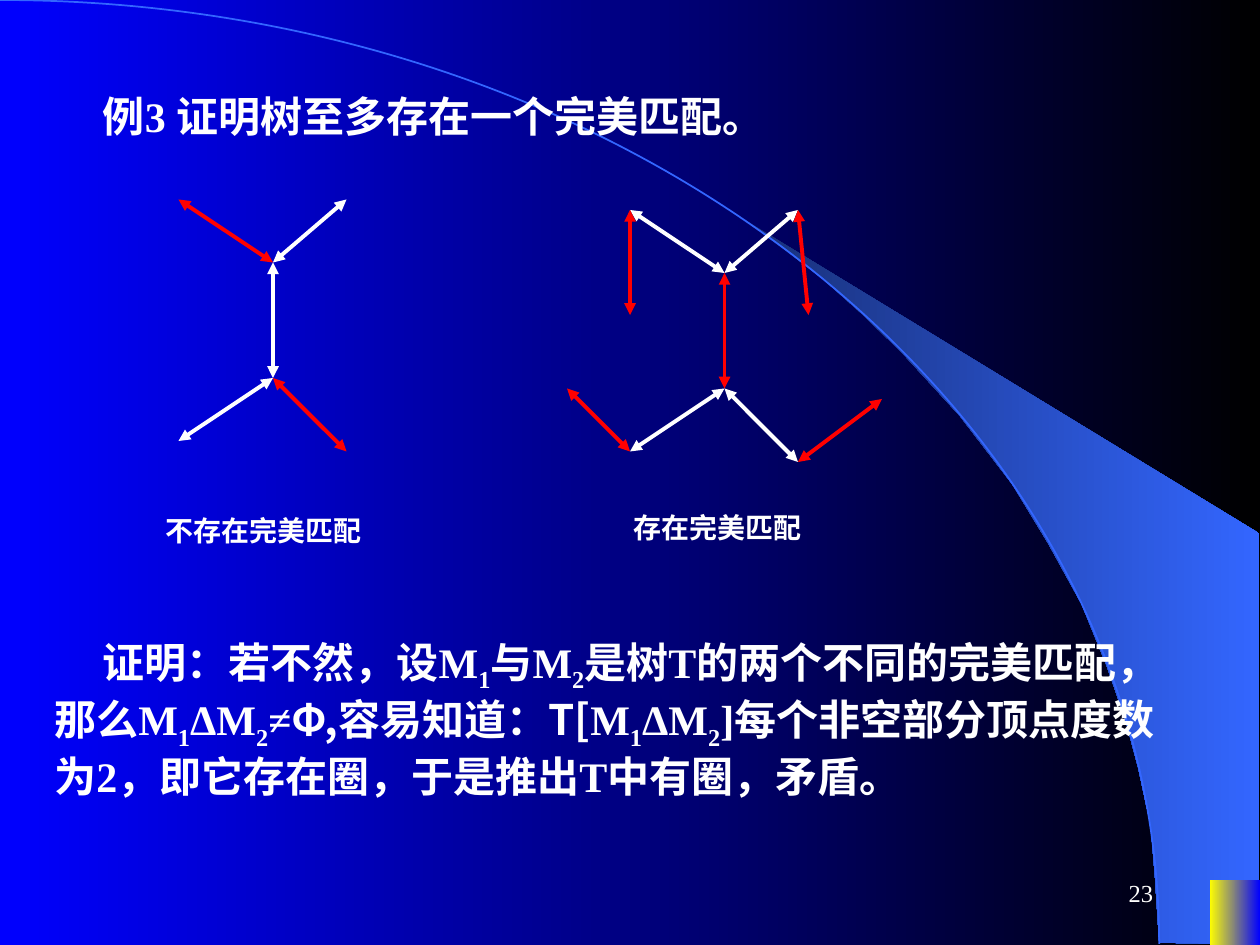
"""Build a slide that proves a tree has at most one perfect matching."""
import pptx
import pptx.dml.color
import pptx.enum.shapes
import pptx.enum.text
import pptx.oxml
import pptx.oxml.ns
import pptx.util

PX = 7620
COLORS = {"white": "FFFFFF", "red": "FF0000", "blue": "0000FF", "black": "000000",
          "navy": "182F76", "sky": "3366FF", "yellow": "FFFF00"}
LATIN, CJK = "Times New Roman", "Noto Sans CJK SC"
ALIGN = pptx.enum.text.PP_ALIGN
ANCHOR = pptx.enum.text.MSO_ANCHOR
NS = pptx.oxml.ns.nsdecls("a")

SWOOSH = [(1104, 898), (1199, 899), (1199, 508), (707, 208), (749, 239), (784, 266),
          (822, 300), (859, 336), (914, 396), (964, 461), (998, 517), (1030, 575),
          (1054, 634), (1072, 686), (1084, 731), (1096, 787), (1100, 835)]
ARC = [(610, 0), (1104, 402), (1104, 899)]

TREE = {"nw": (170, 190), "ne": (330, 190), "top": (260, 250),
        "bottom": (260, 360), "sw": (170, 420), "se": (330, 430)}
TREE_EDGES = [("nw", "top"), ("top", "ne"), ("top", "bottom"),
              ("bottom", "sw"), ("bottom", "se")]
RIGHT_SHIFT = (430, 10)
LEAF_EDGES = [("nw", (600, 300)), ("ne", (770, 300)),
              ("sw", (540, 370)), ("se", (840, 380))]

PROOF = [("证明：若不然，设M",), ("1", "sub"), ("与M",), ("2", "sub"),
         ("是树T的两个不同的完美匹配，那么M",), ("1", "sub"), ("ΔM",), ("2", "sub"),
         ("≠",), ("Φ,容易知道：T[", "cjk"), ("M",), ("1", "sub"), ("ΔM",),
         ("2", "sub"), ("]每个非空部分顶点度数为2，即它存在圈，于是推出T中有圈，矛盾。",)]


def px(*lengths):
    """Turn pixel lengths into EMU."""
    return [pptx.util.Emu(length * PX) for length in lengths]


def rgb(name):
    """Return the named colour."""
    return pptx.dml.color.RGBColor.from_string(COLORS[name])


def set_gradient(fill, start, end):
    """Fill with a left-to-right gradient."""
    fill.gradient()
    fill.gradient_angle = 0
    for stop, name in zip(fill.gradient_stops, (start, end)):
        stop.color.rgb = rgb(name)


def add_outline(slide, points, close):
    """Add a freeform with straight sides through the points."""
    builder = slide.shapes.build_freeform(*points[0], scale=PX)
    builder.add_line_segments(points[1:], close=close)
    sp = builder.convert_to_shape()
    sp.shadow.inherit = False
    return sp


def add_arc(slide, controls):
    """Add an open Bezier curve from the slide's top left corner."""
    sp = add_outline(slide, [(0, 0), controls[-1]], False)
    points = "".join(f'<a:pt x="{x}" y="{y}"/>' for x, y in controls)
    curve = pptx.oxml.parse_xml(f"<a:cubicBezTo {NS}>{points}</a:cubicBezTo>")
    side = next(sp._element.iter(pptx.oxml.ns.qn("a:lnTo")))
    side.getparent().replace(side, curve)
    sp.fill.background()
    sp.line.color.rgb = rgb("sky")
    sp.line.width = pptx.util.Pt(1)


def add_backdrop(slide):
    """Draw the gradient background, the swoosh, the arc and the corner block."""
    set_gradient(slide.background.fill, "blue", "black")
    swoosh = add_outline(slide, SWOOSH, True)
    set_gradient(swoosh.fill, "navy", "sky")
    swoosh.line.fill.background()
    add_arc(slide, ARC)
    block = slide.shapes.add_shape(
        pptx.enum.shapes.MSO_SHAPE.RECTANGLE, *px(1152, 838, 48, 62))
    block.shadow.inherit = False
    set_gradient(block.fill, "yellow", "blue")
    block.line.fill.background()


def add_text(slide, box, pieces, size, bold=True, indent=0,
             align=ALIGN.LEFT, anchor=ANCHOR.TOP):
    """Add a wrapped one-paragraph text box made of styled pieces."""
    tf = slide.shapes.add_textbox(*px(*box)).text_frame
    tf.word_wrap = True
    tf.vertical_anchor = anchor
    p = tf.paragraphs[0]
    p.alignment = align
    if indent:
        p._p.get_or_add_pPr().set("indent", str(indent * PX))
    for text, *style in pieces:
        r = p.add_run()
        r.text = text
        r.font.size = pptx.util.Pt(size)
        r.font.bold = bold
        r.font.name = CJK if "cjk" in style else LATIN
        r.font.color.rgb = rgb("white")
        rPr = r._r.get_or_add_rPr()
        if "sub" in style:
            rPr.set("baseline", "-25000")
        ea = pptx.oxml.parse_xml(f'<a:ea {NS} typeface="{CJK}"/>')
        rPr.find(pptx.oxml.ns.qn("a:latin")).addnext(ea)


def add_edge(slide, start, end, color):
    """Add a line with an arrowhead at both ends."""
    line = slide.shapes.add_connector(
        pptx.enum.shapes.MSO_CONNECTOR.STRAIGHT, *px(*start, *end))
    line.line.color.rgb = rgb(color)
    line.line.width = pptx.util.Pt(2.25)
    ln = line.line._get_or_add_ln()
    for tag in ("headEnd", "tailEnd"):
        ln.append(pptx.oxml.parse_xml(f'<a:{tag} {NS} type="triangle"/>'))
    line._element.spPr.append(pptx.oxml.parse_xml(f"<a:effectLst {NS}/>"))


def add_tree(slide, shift, matching, leaf_edges=()):
    """Draw the tree, with matched edges and all leaf edges in red."""
    nodes = {name: (x + shift[0], y + shift[1]) for name, (x, y) in TREE.items()}
    for edge in TREE_EDGES:
        color = "red" if edge in matching else "white"
        add_edge(slide, nodes[edge[0]], nodes[edge[1]], color)
    for name, leaf in leaf_edges:
        add_edge(slide, nodes[name], leaf, "red")


def main():
    """Build and save the slide."""
    prs = pptx.Presentation()
    prs.slide_width, prs.slide_height = px(1200, 900)
    slide = prs.slides.add_slide(prs.slide_layouts[6])
    add_backdrop(slide)
    add_text(slide, (860, 820, 250, 60), [("23",)], 14, bold=False,
             align=ALIGN.RIGHT, anchor=ANCHOR.MIDDLE)
    add_text(slide, (40, 80, 1120, 60), [("例3 证明树至多存在一个完美匹配。",)], 24, indent=46)
    add_text(slide, (40, 600, 1080, 169), PROOF, 24, indent=46)
    add_tree(slide, (0, 0), [("nw", "top"), ("bottom", "se")])
    add_text(slide, (100, 470, 300, 57), [("不存在完美匹配",)], 16, indent=46,
             anchor=ANCHOR.BOTTOM)
    add_tree(slide, RIGHT_SHIFT, [("top", "bottom")], LEAF_EDGES)
    add_text(slide, (550, 480, 300, 44), [("存在完美匹配",)], 16, indent=42)
    prs.save("out.pptx")


if __name__ == "__main__":
    main()
